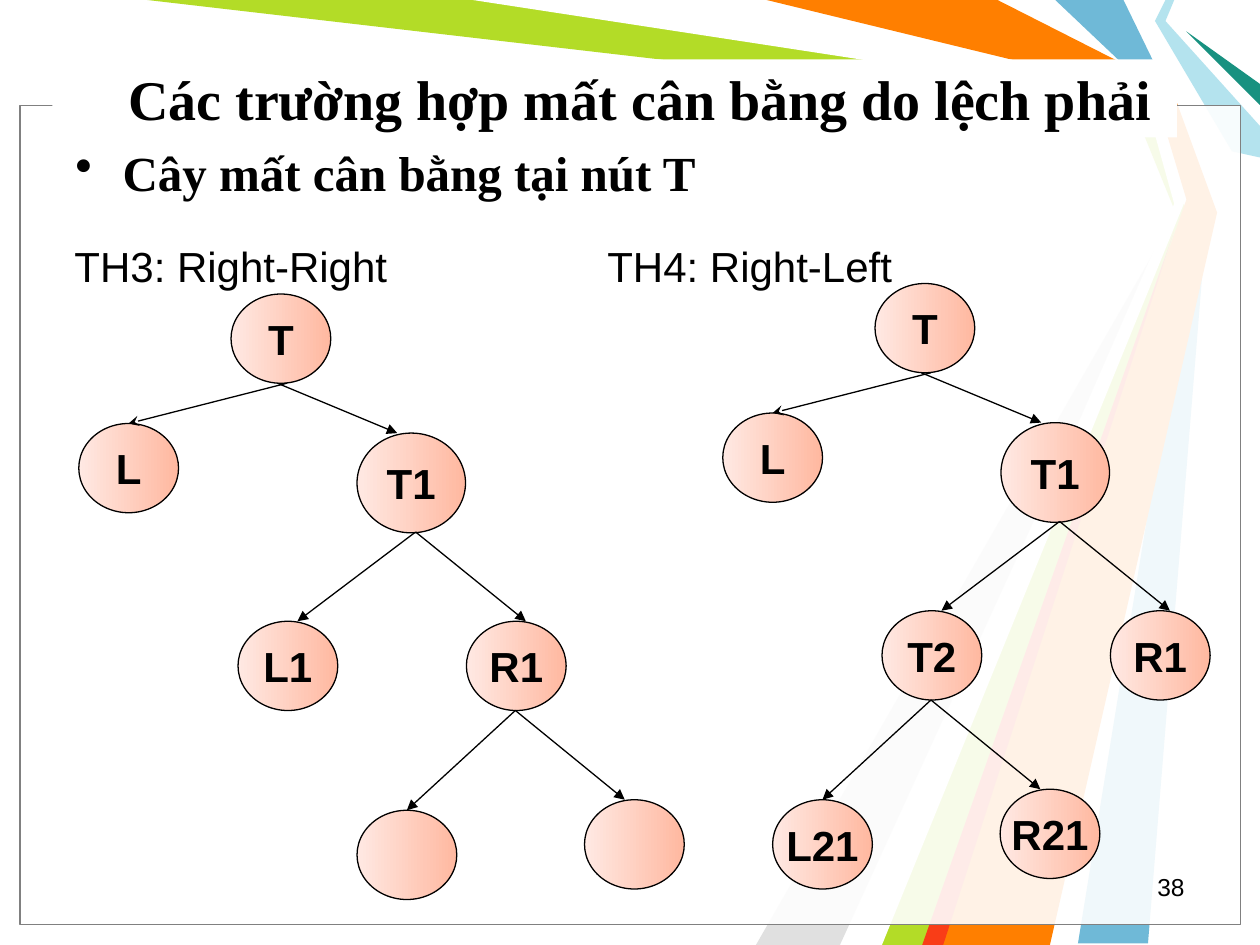
from dataclasses import dataclass

from lxml import etree
from pptx import Presentation
from pptx.dml.color import RGBColor
from pptx.enum.shapes import MSO_CONNECTOR, MSO_SHAPE
from pptx.enum.text import MSO_ANCHOR, MSO_AUTO_SIZE, PP_ALIGN
from pptx.oxml.ns import qn
from pptx.util import Pt

LINE = MSO_CONNECTOR.STRAIGHT
RECT, OVAL = MSO_SHAPE.RECTANGLE, MSO_SHAPE.OVAL
MIDDLE, NO_FIT = MSO_ANCHOR.MIDDLE, MSO_AUTO_SIZE.NONE
LEFT, CENTER, RIGHT = PP_ALIGN.LEFT, PP_ALIGN.CENTER, PP_ALIGN.RIGHT

BLACK = RGBColor(0x00, 0x00, 0x00)
WHITE = RGBColor(0xFF, 0xFF, 0xFF)
GRAY = RGBColor(0x80, 0x80, 0x80)
SILVER = RGBColor(0xE0, 0xE0, 0xE0)
BLUE = RGBColor(0x6F, 0xB9, 0xD7)
CYAN = RGBColor(0xB4, 0xE3, 0xEE)
GREEN = RGBColor(0xB3, 0xDC, 0x27)
TEAL = RGBColor(0x18, 0x91, 0x80)
ORANGE = RGBColor(0xFF, 0x7F, 0x00)
RED = RGBColor(0xF9, 0x3D, 0x17)
PALE = RGBColor(0xFF, 0xE9, 0xE3)
PEACH = RGBColor(0xFF, 0xB8, 0xA0)


@dataclass
class Band:
    color: RGBColor
    points: list


@dataclass
class Node:
    name: str
    x: float
    y: float
    w: float = 57
    h: float = 51


@dataclass
class Edge:
    x1: float
    y1: float
    x2: float
    y2: float
    head: str = "triangle"


@dataclass
class Tree:
    """The inner nodes and the pair of leaves below one of them."""
    title: str
    tx: float
    dx: float
    dy: float
    inner: list
    leaves: tuple
    base: int


BANDS = [
    Band(BLUE, [(642, 0), (669, 55.5), (690, 120), (656, 539), (616, 539),
                (684, 120), (660, 54), (603, 0)]),
    Band(GREEN, [(84, 0), (276, 0), (658, 56), (678, 121.5), (534, 540),
                 (498, 540), (673, 124.5), (649, 65.5)]),
    Band(SILVER, [(480, 540), (667.5, 130), (432, 540)]),
    Band(WHITE, [(270, 0), (655, 59), (671, 116.5), (486, 540), (504, 540),
                 (677.5, 114), (660, 54), (432, 0)]),
    Band(CYAN, [(666, 0), (660, 12), (704, 86.5), (720, 90), (720, 72),
                (666, 12), (671, 0)]),
    Band(TEAL, [(720, 60), (678, 18), (720, 48)]),
    Band(ORANGE, [(438, 0), (570, 0), (669.5, 50.5), (695.5, 121.5),
                  (600, 540), (528, 540), (678, 114), (660, 54)]),
    Band(RED, [(527, 540), (671, 132), (539, 540)]),
]

SPOTS = [(132, 168), (204, 247.5, 62, 57), (45, 242), (266.5, 355), (136, 355)]
EDGES = [
    Edge(164, 219, 73.5, 242, "stealth"),
    Edge(158.5, 219, 227, 247.5),
    Edge(237.5, 304, 300.5, 355),
    Edge(237.5, 304, 170, 355),
]
# Offsets from the parent of the two lowest leaves
LEAVES = [(-62.5, 108), (67.5, 102)]
LEGS = [Edge(28, 51, -34, 108), Edge(28, 51, 90.5, 102)]

TREES = [
    Tree("TH3: Right-Right", 35.5, 0, 0,
         ["T", "T1", "L", "R1", "L1"], ("", ""), 3),
    Tree("TH4: Right-Left", 340, 368, -6,
         ["T", "T1", "L", "R1", "T2"], ("L21", "R21"), 4),
]


def set_text(shape, text: str, size: float, face: str = "Arial",
             bold: bool = False, align=LEFT):
    """Write one line of black text and return its paragraph."""
    para = shape.text_frame.paragraphs[0]
    para.text = text
    para.alignment = align
    font = para.font
    font.size, font.name, font.bold = Pt(size), face, bold
    font.color.rgb = BLACK
    return para


def add_label(shapes, x: float, y: float, w: float, h: float,
              text: str, size: float, **style):
    box = shapes.add_textbox(Pt(x), Pt(y), Pt(w), Pt(h))
    box.text_frame.word_wrap = True
    return set_text(box, text, size, **style)


def add_band(shapes, band: Band) -> None:
    spots = [(Pt(x), Pt(y)) for x, y in band.points]
    pen = shapes.build_freeform(*spots[0], scale=1.0)
    pen.add_line_segments(spots[1:], close=True)
    shape = pen.convert_to_shape()
    shape.shadow.inherit = False
    shape.fill.solid()
    shape.fill.fore_color.rgb = band.color
    shape.line.fill.background()


def add_panel(shapes, x: float, y: float, w: float, h: float):
    shape = shapes.add_shape(RECT, Pt(x), Pt(y), Pt(w), Pt(h))
    shape.shadow.inherit = False
    shape.fill.solid()
    shape.fill.fore_color.rgb = WHITE
    shape.line.fill.background()
    return shape


def add_frame(shapes) -> None:
    frame = add_panel(shapes, 11.5, 60.5, 697.5, 468)
    color = frame.element.spPr.find(qn("a:solidFill"))[0]
    etree.SubElement(color, qn("a:alpha"), val="90000")
    frame.line.color.rgb = GRAY
    frame.line.width = Pt(0.75)
    add_panel(shapes, 30, 53.5, 492, 12)


def add_node(shapes, node: Node, dx: float, dy: float) -> None:
    shape = shapes.add_shape(OVAL, Pt(node.x + dx), Pt(node.y + dy),
                             Pt(node.w), Pt(node.h))
    shape.shadow.inherit = False
    shape.fill.gradient()
    shape.fill.gradient_angle = 0
    for stop, color in zip(shape.fill.gradient_stops, (PALE, PEACH)):
        stop.color.rgb = color
    shape.line.color.rgb = BLACK
    shape.line.width = Pt(0.75)
    if node.name:
        shape.text_frame.word_wrap = False
        shape.text_frame.vertical_anchor = MIDDLE
        set_text(shape, node.name, 24, bold=True, align=CENTER)


def add_edge(shapes, edge: Edge, dx: float, dy: float) -> None:
    link = shapes.add_connector(LINE, Pt(edge.x1 + dx), Pt(edge.y1 + dy),
                                Pt(edge.x2 + dx), Pt(edge.y2 + dy))
    link.line.color.rgb = BLACK
    link.line.width = Pt(0.75)
    props = link.element.spPr
    etree.SubElement(props.find(qn("a:ln")), qn("a:tailEnd"), type=edge.head)
    etree.SubElement(props, qn("a:effectLst"))


def add_tree(shapes, tree: Tree) -> None:
    nodes = [Node(name, *spot) for name, spot in zip(tree.inner, SPOTS)]
    base = nodes[tree.base]
    nodes += [Node(name, base.x + x, base.y + y)
              for name, (x, y) in zip(tree.leaves, LEAVES)]
    for node in nodes:
        add_node(shapes, node, tree.dx, tree.dy)
    for edge in EDGES:
        add_edge(shapes, edge, tree.dx, tree.dy)
    for leg in LEGS:
        add_edge(shapes, leg, base.x + tree.dx, base.y + tree.dy)
    add_label(shapes, tree.tx, 134, 199, 36, tree.title, 24)


def set_title(slide) -> None:
    title = slide.shapes.title
    title.left, title.top = Pt(66), Pt(34)
    title.width, title.height = Pt(606.5), Pt(44.5)
    title.fill.solid()
    title.fill.fore_color.rgb = WHITE
    title.text_frame.auto_size = NO_FIT
    title.text_frame.vertical_anchor = MIDDLE
    set_text(title, "Các trường hợp mất cân bằng do lệch phải", 32,
             face="Times New Roman", bold=True)
    # Bring the title in front of the bands
    slide.shapes.element.append(title.element)


def add_point(shapes) -> None:
    para = add_label(shapes, 36, 78, 648, 45, "Cây mất cân bằng tại nút T", 28,
                     face="Times New Roman", bold=True)
    para.space_before = Pt(3)
    props = para._p.get_or_add_pPr()
    props.set("marL", str(Pt(27)))
    props.set("indent", str(Pt(-27)))
    bullet = etree.Element(qn("a:buChar"), char="•")
    props.find(qn("a:spcBef")).addnext(bullet)


def main() -> None:
    deck = Presentation()
    deck.slide_width, deck.slide_height = Pt(720), Pt(540)
    slide = deck.slides.add_slide(deck.slide_layouts[5])
    shapes = slide.shapes
    for band in BANDS:
        add_band(shapes, band)
    add_frame(shapes)
    set_title(slide)
    add_point(shapes)
    add_label(shapes, 516, 494.5, 168, 24, "38", 14, align=RIGHT)
    for tree in TREES:
        add_tree(shapes, tree)
    deck.save("out.pptx")


if __name__ == "__main__":
    main()
